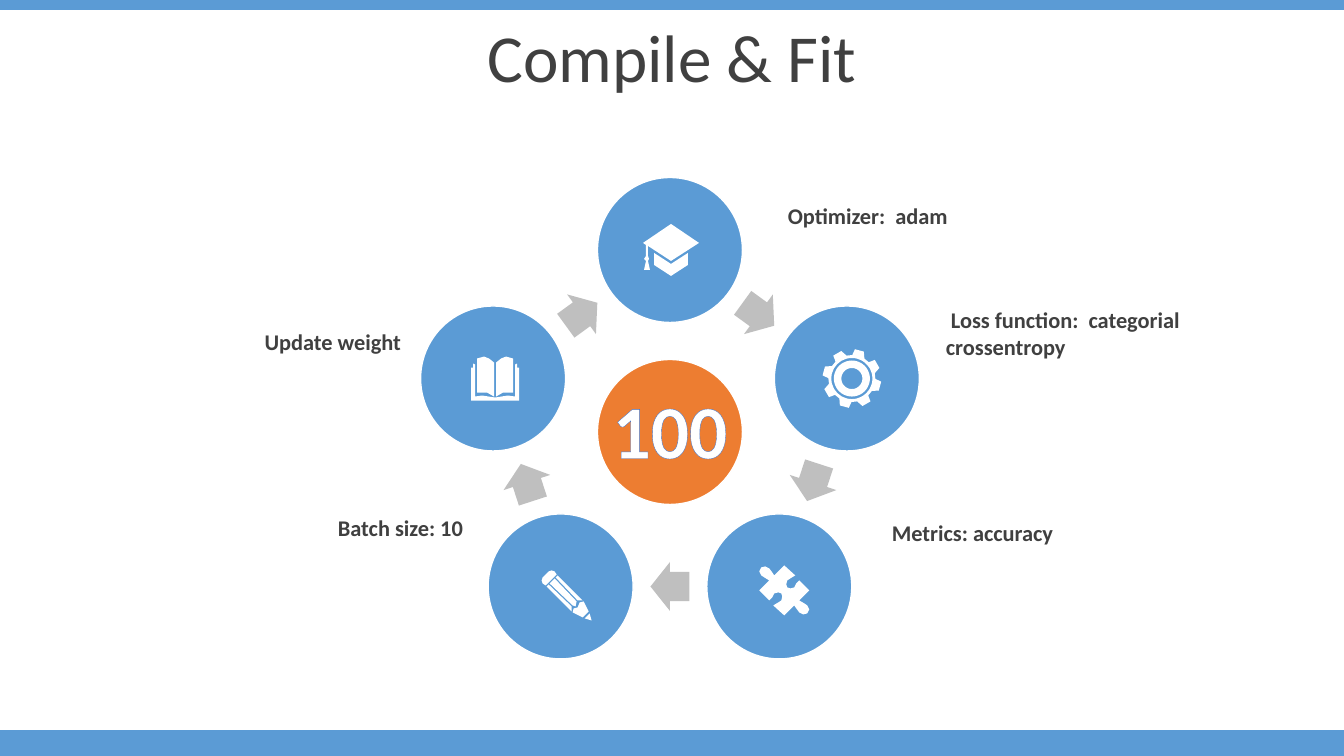
"""Build the Compile & Fit slide: a ring of five steps around a hub."""
from math import cos, radians, sin

from lxml import etree
from pptx import Presentation
from pptx.dml.color import RGBColor as RGB
from pptx.enum.dml import MSO_PATTERN as PATTERN
from pptx.enum.shapes import MSO_SHAPE as SHAPE
from pptx.enum.text import MSO_ANCHOR as ANCHOR, PP_ALIGN as ALIGN
from pptx.oxml.ns import qn
from pptx.util import Pt

PX = 914400 / 100.8
FINE = 10
WIDE, HIGH = 1344, 756

THEME = {
    "font": "Calibri", "title": 48, "hub": 54, "label": 16, "edge": 1,
    "ink": "404040", "blue": "5B9BD5", "orange": "ED7D31", "grey": "BFBFBF",
    "white": "FFFFFF", "dots": "8FAADC", "rim": "4472C4",
}

TITLE = ("Compile & Fit", (0, 18, WIDE, 85))
HUB = ("100", (602, 378, 136, 102))
LABELS = [
    ("Optimizer:  adam", (778, 197, 497, 37), ALIGN.LEFT),
    (" Loss function:  categorial crossentropy", (936, 301, 342, 64), ALIGN.LEFT),
    ("Metrics: accuracy", (882, 514, 342, 37), ALIGN.LEFT),
    ("Batch size: 10", (131, 509, 342, 37), ALIGN.RIGHT),
    ("Update weight", (69, 323, 342, 37), ALIGN.RIGHT),
]
BARS = [(0, 730, WIDE, 26), (0, 0, WIDE, 10)]

MID = (670, 436)
HUB_MID = (670, 432)
RING, DISC = 186, 145
ARROW = (39, 49)


def polar(rad, deg):
    """Return the point at a radius and a clockwise angle from the top."""
    return rad * sin(radians(deg)), -rad * cos(radians(deg))


def flip(pts):
    """Mirror an outline from left to right."""
    return [(-x, y) for x, y in reversed(pts)]


CAP = [
    [(0, -26), (-28, -7), (-25, -5), (-25, 6), (-27, 9), (-25, 11), (-27, 20),
     (-21, 20), (-23, 11), (-22, 9), (-23, 6), (-23, -4), (0, 11), (28, -7)],
    [(17, 3), (0, 14), (-17, 3), (-17, 15), (0, 26), (17, 15)],
]
TEETH = [polar(rad, turn + deg) for turn in range(0, 360, 45)
         for rad, deg in ((29.5, 6), (29.5, 24), (23.5, 32), (23.5, 46))]
GEAR = [TEETH] + [[polar(rad, deg) for deg in range(0, 360, 6)]
                  for rad in (20.5, 18, 10.5)]
KNOB = [(-23, -23), (-25, -19), (-23, -15), (-20, -13), (-15, -10), (-25, 0),
        (-15, 10), (-12, 7), (-10, 3), (-6, 2), (-3, 3), (-2, 6), (-3, 10),
        (-6, 12), (-11, 15), (0, 25), (10, 15), (12, 18), (15, 22), (19, 24)]
PUZZLE = [KNOB + [(-x, -y) for x, y in KNOB]]
PENCIL = [
    [(29, 27), (24, 32), (31, 34)],
    [(23, 15), (19, 16), (17, 21), (13, 22), (12, 26), (22, 31), (28, 25)],
    [(-12, -2), (-14, 0), (11, 25), (11, 20)],
    [(-6, -8), (-11, -3), (12, 19), (15, 20), (16, 15)],
    [(-3, -11), (-5, -9), (17, 14), (22, 14)],
    [(-9, -16), (-12, -15), (-18, -9), (-19, -6), (-18, -3), (-15, -1),
     (-4, -12), (-6, -15)],
]
PAGE = [(-18, -20), (-11, -22), (-6, -20), (-1, -16), (-1, 18), (-8, 14), (-18, 14)]
COVER = [(0, 22), (-24, 22), (-24, -11), (-22, -11), (-22, -15), (-20, -14),
         (-20, 18), (-13, 17), (0, 19)]
BOOK = [PAGE, flip(PAGE), COVER + flip(COVER)]
ICONS = [(CAP, (1, 0)), (GEAR, (5, 0)), (PUZZLE, (5, 4)), (PENCIL, (0, 0)),
         (BOOK, (2, 0))]


def emu(*vals):
    """Turn px into EMU."""
    return [round(val * PX) for val in vals]


def color(name):
    """Return a theme colour."""
    return RGB.from_string(THEME[name])


def apply(item, form):
    """Set each format value on an object."""
    for key, val in form.items():
        setattr(item, key, val)


def paint(shape, fill, edge=None):
    """Give a shape a flat fill and an optional line."""
    shape.shadow.inherit = False
    shape.fill.solid()
    shape.fill.fore_color.rgb = color(fill)
    if edge:
        shape.line.color.rgb = color(edge)
        shape.line.width = Pt(THEME["edge"])
    else:
        shape.line.fill.background()


def center(shapes, kind, mid, size, fill, edge=None):
    """Add a preset shape around a middle point."""
    (x, y), (w, h) = mid, size
    shape = shapes.add_shape(kind, *emu(x - w / 2, y - h / 2, w, h))
    paint(shape, fill, edge)
    return shape


def write(shapes, text, box, size, bold=True, align=ALIGN.CENTER, wrap=True,
          anchor=ANCHOR.TOP):
    """Add a text box and return its paragraph and run."""
    frame = shapes.add_textbox(*emu(*box)).text_frame
    apply(frame, {"word_wrap": wrap, "vertical_anchor": anchor})
    para = frame.paragraphs[0]
    para.alignment = align
    run = para.add_run()
    run.text = text
    apply(run.font, {"name": THEME["font"], "size": Pt(THEME[size]), "bold": bold})
    run.font.color.rgb = color("ink")
    return para, run


def draw(shapes, icon, mid):
    """Draw the outlines of an icon as one white freeform."""
    outs = [[(x * FINE, y * FINE) for x, y in pts] for pts in icon]
    pen = shapes.build_freeform(*outs[0][0], scale=PX / FINE)
    for num, pts in enumerate(outs):
        if num:
            pen.move_to(*pts[0])
        pen.add_line_segments(pts[1:], close=True)
    paint(pen.convert_to_shape(*emu(*mid)), "white")


def hatch(run):
    """Give a run a hatched fill and a thin outline."""
    fill = run.font.fill
    fill.patterned()
    fill.pattern = PATTERN.LIGHT_DOWNWARD_DIAGONAL
    fill.fore_color.rgb = color("dots")
    fill.back_color.rgb = color("white")
    line = etree.Element(qn("a:ln"), w=str(Pt(THEME["edge"])))
    solid = etree.SubElement(line, qn("a:solidFill"))
    etree.SubElement(solid, qn("a:srgbClr"), val=THEME["rim"])
    run.font._element.insert(0, line)


def main():
    """Build and save the slide."""
    deck = Presentation()
    deck.slide_width, deck.slide_height = emu(WIDE, HIGH)
    shapes = deck.slides.add_slide(deck.slide_layouts[6]).shapes

    for bar in BARS:
        paint(shapes.add_shape(SHAPE.RECTANGLE, *emu(*bar)), "blue")
    para, _ = write(shapes, *TITLE, "title", bold=False, anchor=ANCHOR.MIDDLE)
    para.line_spacing = 0.9

    step = 360 / len(ICONS)
    for num, (icon, (dx, dy)) in enumerate(ICONS):
        x, y = (a + b for a, b in zip(MID, polar(RING, num * step)))
        center(shapes, SHAPE.OVAL, (x, y), (DISC, DISC), "blue", "white")
        draw(shapes, icon, (x + dx, y + dy))
        turn = (num + 0.5) * step
        spot = polar(RING * cos(radians(step / 2)), turn)
        mid = [a + b for a, b in zip(MID, spot)]
        arrow = center(shapes, SHAPE.RIGHT_ARROW, mid, ARROW, "grey")
        arrow.adjustments[0], arrow.adjustments[1] = 0.6, 0.5
        arrow.rotation = turn

    center(shapes, SHAPE.OVAL, HUB_MID, (DISC, DISC), "orange", "white")
    for text, box, align in LABELS:
        write(shapes, text, box, "label", align=align)
    _, run = write(shapes, *HUB, "hub", wrap=False)
    hatch(run)
    deck.save("out.pptx")


if __name__ == "__main__":
    main()
